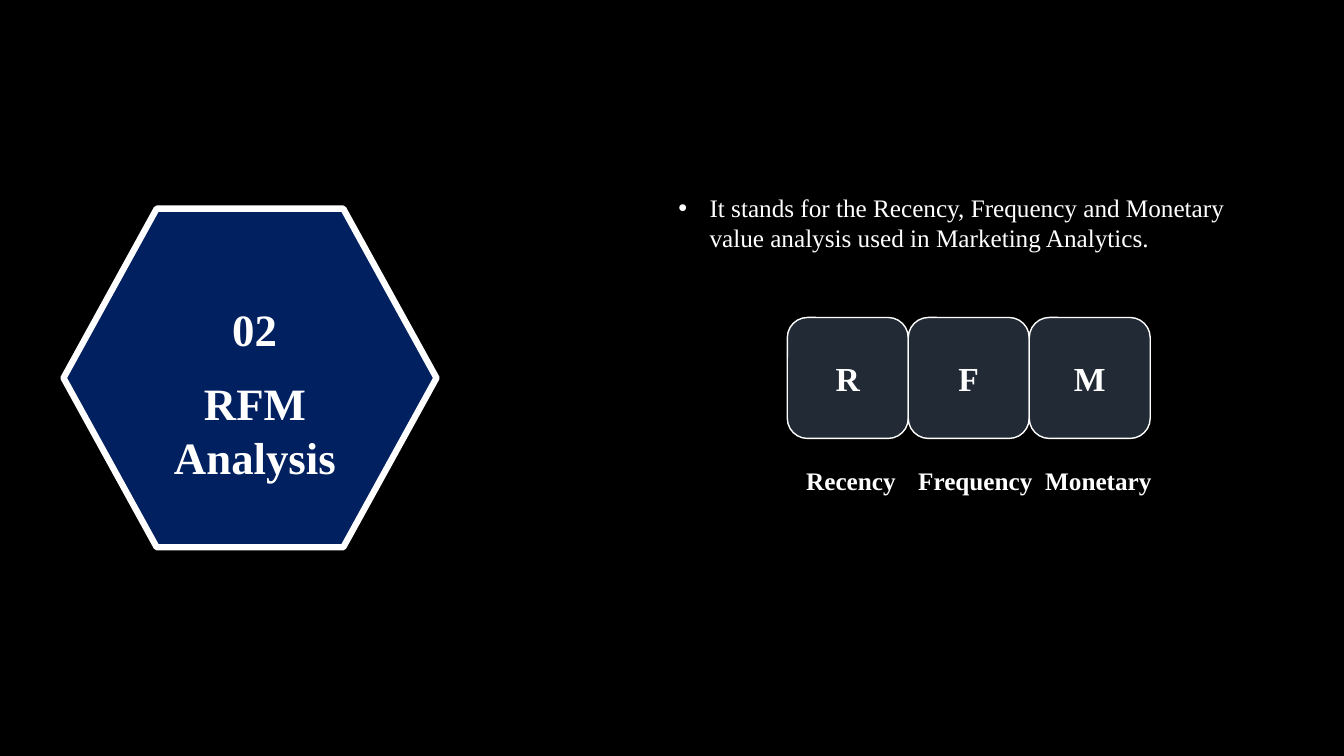
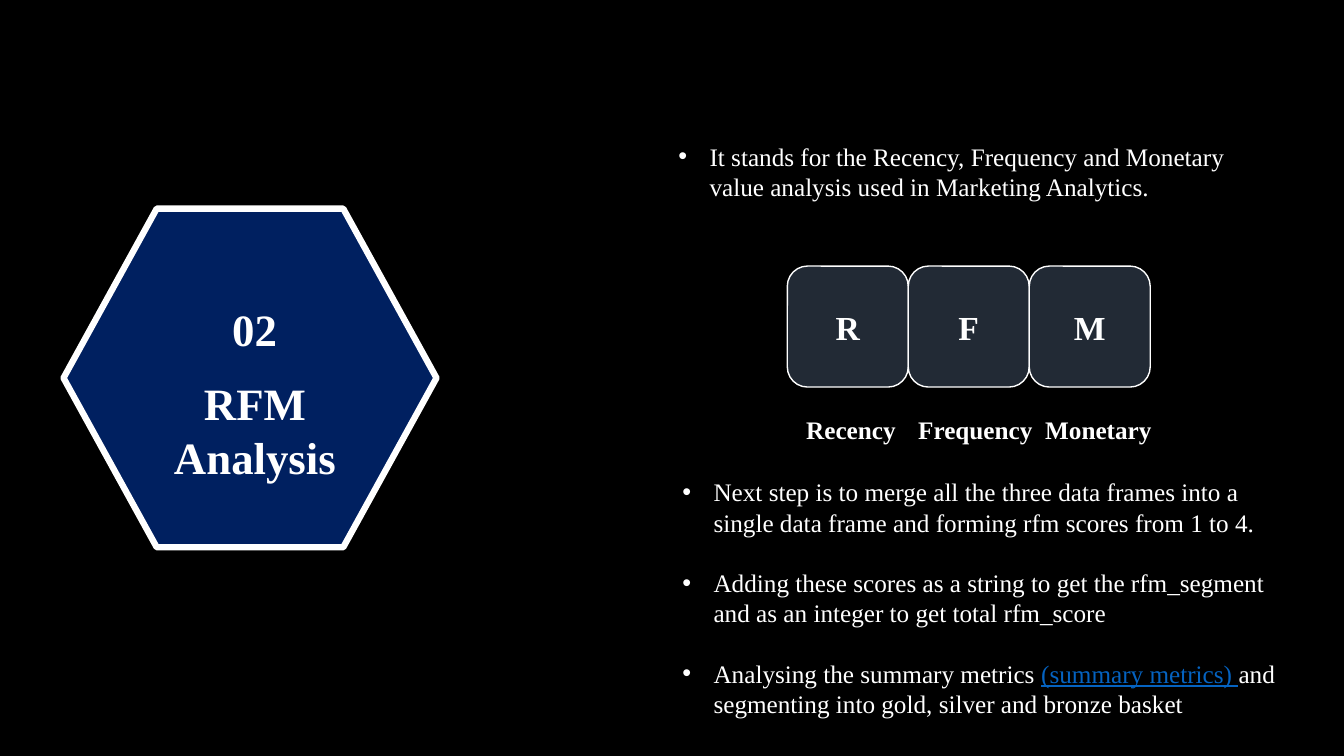
from dataclasses import dataclass

from lxml.etree import SubElement
from pptx import Presentation
from pptx.dml.color import RGBColor
from pptx.enum.shapes import MSO_SHAPE
from pptx.enum.text import MSO_ANCHOR, MSO_AUTO_SIZE, PP_ALIGN
from pptx.oxml.ns import qn
from pptx.util import Inches, Pt


@dataclass(frozen=True)
class Theme:
    """Colours, type sizes and spacing shared by the slides."""
    font: str = "Times New Roman"
    background: RGBColor = RGBColor.from_string("000000")
    text: RGBColor = RGBColor.from_string("FFFFFF")
    hexagon: RGBColor = RGBColor.from_string("002060")
    tile: RGBColor = RGBColor.from_string("222A35")
    link: RGBColor = RGBColor.from_string("0563C1")
    heading: Pt = Pt(32)
    letter: Pt = Pt(24)
    body: Pt = Pt(18)
    bullet_gap: Pt = Pt(21.6)
    bullet_indent: Inches = Inches(0.31)
    inset: Inches = Inches(0.1)


THEME = Theme()
WIDTH, HEIGHT = Inches(13.33), Inches(7.5)
TILE_LEFT, TILE_WIDTH, TILE_HEIGHT = 58.58, 9, 16
FACTORS = (("Recency", 0.67, 8.33), ("Frequency", 0, 10.2), ("Monetary", 0.45, 10.2))
DEFINITION = [["It stands for the Recency, Frequency and Monetary value analysis used in Marketing Analytics."]]
LINK_TEXT = "(summary metrics) "
NEXT_STEPS = [
    ["Next step is to merge all the three data frames into a single data frame and forming rfm scores from 1 to 4."],
    ["Adding these scores as a string to get the rfm_segment and as an integer to get total rfm_score"],
    ["Analysing the summary metrics ", LINK_TEXT, "and segmenting into gold, silver and bronze basket"],
]


def across(percent):
    """Return a share of the slide's width."""
    return round(WIDTH * percent / 100)


def down(percent):
    """Return a share of the slide's height."""
    return round(HEIGHT * percent / 100)


def area(left, top, width, height):
    """Return a box given in shares of the slide."""
    return across(left), down(top), across(width), down(height)


def style_font(font, size, bold=False, color=THEME.text):
    """Apply the theme's typeface to a font."""
    font.name, font.size, font.bold = THEME.font, size, bold
    font.color.rgb = color


def style_shape(shape, fill, line_width):
    """Give a shape a flat fill and a white outline."""
    shape.shadow.inherit = False
    shape.fill.solid()
    shape.fill.fore_color.rgb = fill
    shape.line.color.rgb = THEME.text
    shape.line.width = Pt(line_width)


def write(shape, text, size, align=PP_ALIGN.CENTER, anchor=MSO_ANCHOR.MIDDLE):
    """Put one bold paragraph into a shape."""
    frame = shape.text_frame
    frame.text = text
    frame.word_wrap = True
    frame.auto_size = MSO_AUTO_SIZE.NONE
    frame.vertical_anchor = anchor
    paragraph = frame.paragraphs[0]
    paragraph.alignment = align
    style_font(paragraph.runs[0].font, size, bold=True)
    return frame


def write_heading(shape, text):
    """Write a hexagon heading with equal insets."""
    frame = write(shape, text, THEME.heading)
    frame.margin_left = frame.margin_right = THEME.inset
    frame.margin_top = frame.margin_bottom = THEME.inset
    frame.paragraphs[0].line_spacing = 1.0
    frame.paragraphs[0].space_before = Pt(0)


def add_section_badge(slide, number, title):
    """Draw the hexagon with the section number and slide title."""
    left, top, width, height = area(4.73, 27.6, 27.75, 44.8)
    right, bottom, middle = left + width, top + height, top + height // 2
    shoulder = width // 4
    outline = slide.shapes.build_freeform(left + shoulder, top)
    outline.add_line_segments([
        (left, middle), (left + shoulder, bottom), (right - shoulder, bottom),
        (right, middle), (right - shoulder, top)])
    style_shape(outline.convert_to_shape(), THEME.hexagon, 4.5)
    write_heading(slide.shapes.add_textbox(*area(8.7, 39.47, 20.48, 7.87)), number)
    heading = slide.shapes.title
    heading.left, heading.top, heading.width, heading.height = area(9.75, 50, 18.45, 13.6)
    write_heading(heading, title)
    slide.shapes.element.append(heading.element)


def add_bullets(slide, box, items):
    """Add a bulleted list whose items are lists of runs."""
    frame = slide.shapes.add_textbox(*box).text_frame
    frame.word_wrap = True
    for index, pieces in enumerate(items):
        paragraph = frame.add_paragraph() if index else frame.paragraphs[0]
        if index:
            paragraph.space_before = THEME.bullet_gap
        properties = paragraph._p.get_or_add_pPr()
        properties.set("marL", str(THEME.bullet_indent))
        properties.set("indent", str(-THEME.bullet_indent))
        SubElement(properties, qn("a:buFont")).set("typeface", "Arial")
        SubElement(properties, qn("a:buChar")).set("char", "•")
        for piece in pieces:
            run = paragraph.add_run()
            run.text = piece
            linked = piece == LINK_TEXT
            style_font(run.font, THEME.body, color=THEME.link if linked else THEME.text)
            run.font.underline = linked


def add_factor_tiles(slide, top, label_top):
    """Draw the row of initials with their names below."""
    for index, (factor, offset, label_width) in enumerate(FACTORS):
        left = TILE_LEFT + index * TILE_WIDTH
        tile = slide.shapes.add_shape(
            MSO_SHAPE.ROUNDED_RECTANGLE, *area(left, top, TILE_WIDTH, TILE_HEIGHT))
        style_shape(tile, THEME.tile, 1)
        write(tile, factor[0], THEME.letter)
        label = slide.shapes.add_textbox(*area(left + offset, label_top, label_width, 5.33))
        write(label, factor, THEME.body, PP_ALIGN.LEFT, MSO_ANCHOR.TOP)


def add_rfm_slide(deck, top, steps=()):
    """Build an RFM slide whose content starts at the given height."""
    slide = deck.slides.add_slide(deck.slide_layouts.get_by_name("Title Only"))
    add_section_badge(slide, "02", "RFM Analysis")
    add_bullets(slide, area(49.73, top, 45.6, 9.47), DEFINITION)
    add_factor_tiles(slide, top + 17.2, top + 36.13)
    if steps:
        add_bullets(slide, area(50.03, 62.4, 45.6, 33.6), steps)


def main():
    """Build and save the presentation."""
    deck = Presentation()
    deck.slide_width, deck.slide_height = WIDTH, HEIGHT
    backdrop = deck.slide_master.background.fill
    backdrop.solid()
    backdrop.fore_color.rgb = THEME.background
    add_rfm_slide(deck, 24.8)
    add_rfm_slide(deck, 18, NEXT_STEPS)
    deck.save("out.pptx")


if __name__ == "__main__":
    main()
